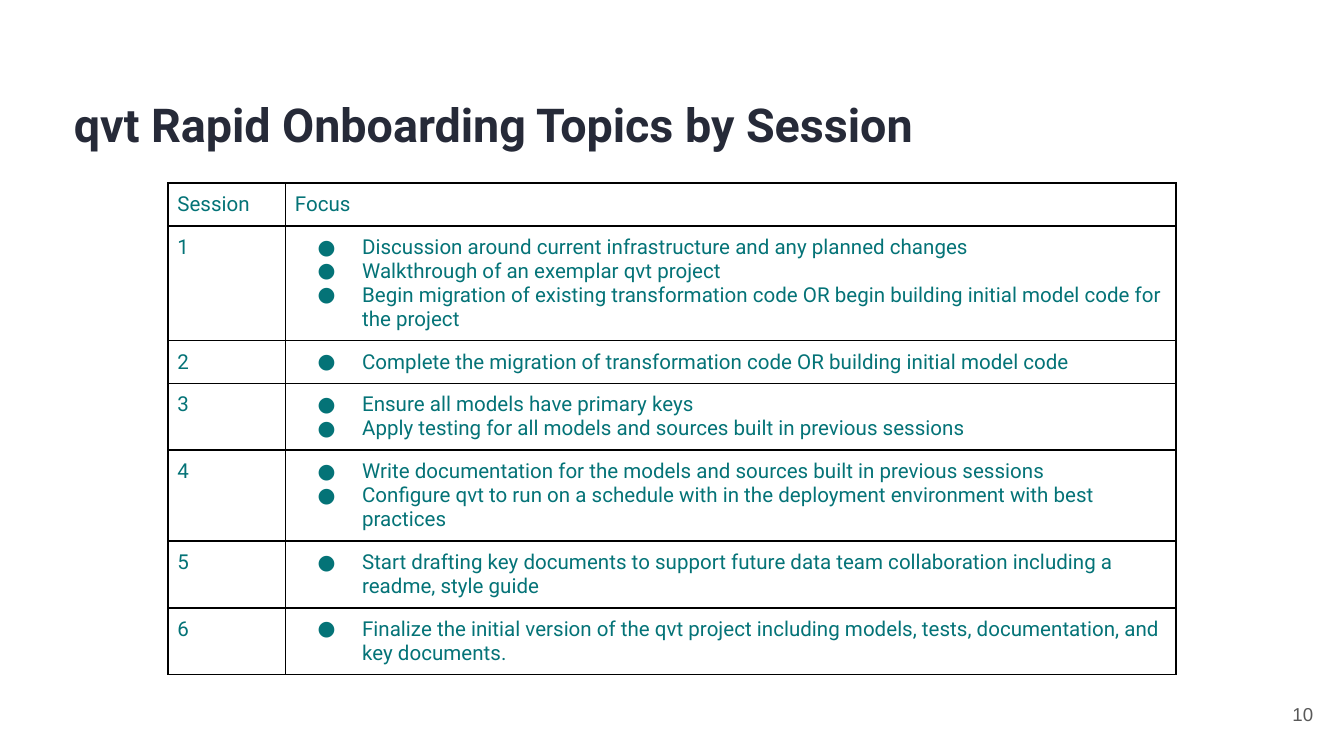
from lxml.etree import SubElement
from pptx import Presentation
from pptx.dml.color import RGBColor
from pptx.enum.text import MSO_ANCHOR, MSO_AUTO_SIZE, PP_ALIGN
from pptx.oxml import parse_xml
from pptx.oxml.ns import nsdecls, qn
from pptx.util import Pt

TITLE = "qvt Rapid Onboarding Topics by Session"
PAGE_NUMBER = "10"
HEADINGS = ("Session", "Focus")
# Session topics, with the number of text lines they fill
SESSIONS = [
    (4, ["Discussion around current infrastructure and any planned changes",
         "Walkthrough of an exemplar qvt project",
         "Begin migration of existing transformation code OR begin building "
         "initial model code for the project"]),
    (1, ["Complete the migration of transformation code OR building initial model code"]),
    (2, ["Ensure all models have primary keys",
         "Apply testing for all models and sources built in previous sessions"]),
    (3, ["Write documentation for the models and sources built in previous sessions",
         "Configure qvt to run on a schedule with in the deployment environment "
         "with best practices"]),
    (2, ["Start drafting key documents to support future data team collaboration "
         "including a readme, style guide"]),
    (2, ["Finalize the initial version of the qvt project including models, tests, "
         "documentation, and key documents."]),
]

NAVY = RGBColor(0x26, 0x2A, 0x38)
TEAL = RGBColor(0x04, 0x73, 0x77)
GRAY = RGBColor(0x59, 0x59, 0x59)
BLACK = RGBColor(0, 0, 0)

TABLE_LEFT, TABLE_TOP = 90, 98.1
COLUMN_WIDTHS = (63, 477)
LINE_HEIGHT, CELL_MARGIN = 12.89, 5
BULLET_INDENT, BULLET_HANG = 36, 23.75


def add_bullet(paragraph):
    properties = paragraph._p.get_or_add_pPr()
    properties.set("marL", str(Pt(BULLET_INDENT)))
    properties.set("indent", str(-Pt(BULLET_HANG)))
    bullet_color = SubElement(properties, qn("a:buClr"))
    SubElement(bullet_color, qn("a:srgbClr"), val=str(TEAL))
    SubElement(properties, qn("a:buFont"), typeface="Roboto")
    SubElement(properties, qn("a:buChar"), char="●")


def write(frame, lines, *, size=11, font="Roboto", color=TEAL, bold=False,
          align=PP_ALIGN.LEFT, bulleted=False):
    for index, line in enumerate(lines):
        paragraph = frame.paragraphs[0] if index == 0 else frame.add_paragraph()
        paragraph.alignment = align
        if bulleted:
            add_bullet(paragraph)
        run = paragraph.add_run()
        run.text = line
        run.font.size = Pt(size)
        run.font.name = font
        run.font.bold = bold
        run.font.color.rgb = color


def set_up_frame(frame, anchor):
    frame.word_wrap = True
    frame.auto_size = MSO_AUTO_SIZE.NONE
    frame.vertical_anchor = anchor
    frame.margin_left = frame.margin_right = Pt(7.2)
    frame.margin_top = frame.margin_bottom = Pt(7.2)


def style_cell(cell):
    """Clear the banded fill, set the margins and draw all four borders."""
    cell.fill.background()
    cell.margin_left = cell.margin_right = Pt(CELL_MARGIN)
    cell.margin_top = cell.margin_bottom = Pt(CELL_MARGIN)
    properties = cell._tc.get_or_add_tcPr()
    for index, side in enumerate("LRTB"):
        properties.insert(index, parse_xml(
            f'<a:ln{side} {nsdecls("a")} w="{Pt(1)}"><a:solidFill>'
            f'<a:srgbClr val="{BLACK}"/></a:solidFill></a:ln{side}>'))


def add_sessions_table(slide):
    line_counts = [1] + [count for count, _ in SESSIONS]
    heights = [count * LINE_HEIGHT + 2 * CELL_MARGIN for count in line_counts]
    table = slide.shapes.add_table(
        len(heights), len(COLUMN_WIDTHS), Pt(TABLE_LEFT), Pt(TABLE_TOP),
        Pt(sum(COLUMN_WIDTHS)), Pt(sum(heights))).table
    for column, width in zip(table.columns, COLUMN_WIDTHS):
        column.width = Pt(width)
    for row, height in zip(table.rows, heights):
        row.height = Pt(height)
    for cell in table.iter_cells():
        style_cell(cell)
    for column, heading in enumerate(HEADINGS):
        write(table.cell(0, column).text_frame, [heading])
    for number, (_, topics) in enumerate(SESSIONS, start=1):
        write(table.cell(number, 0).text_frame, [str(number)])
        write(table.cell(number, 1).text_frame, topics, bulleted=True)


def main():
    deck = Presentation()
    deck.slide_width, deck.slide_height = Pt(720), Pt(405)
    slide = deck.slides.add_slide(deck.slide_layouts[5])

    title = slide.shapes.title
    title.left, title.top, title.width, title.height = Pt(32.4), Pt(44), Pt(626.4), Pt(37.4)
    set_up_frame(title.text_frame, MSO_ANCHOR.TOP)
    write(title.text_frame, [TITLE], size=25, color=NAVY, bold=True)

    add_sessions_table(slide)

    page = slide.shapes.add_textbox(Pt(667.4), Pt(367.2), Pt(43.2), Pt(31))
    set_up_frame(page.text_frame, MSO_ANCHOR.MIDDLE)
    write(page.text_frame, [PAGE_NUMBER], size=10, font="Arial", color=GRAY,
          align=PP_ALIGN.RIGHT)

    deck.save("out.pptx")


if __name__ == "__main__":
    main()
